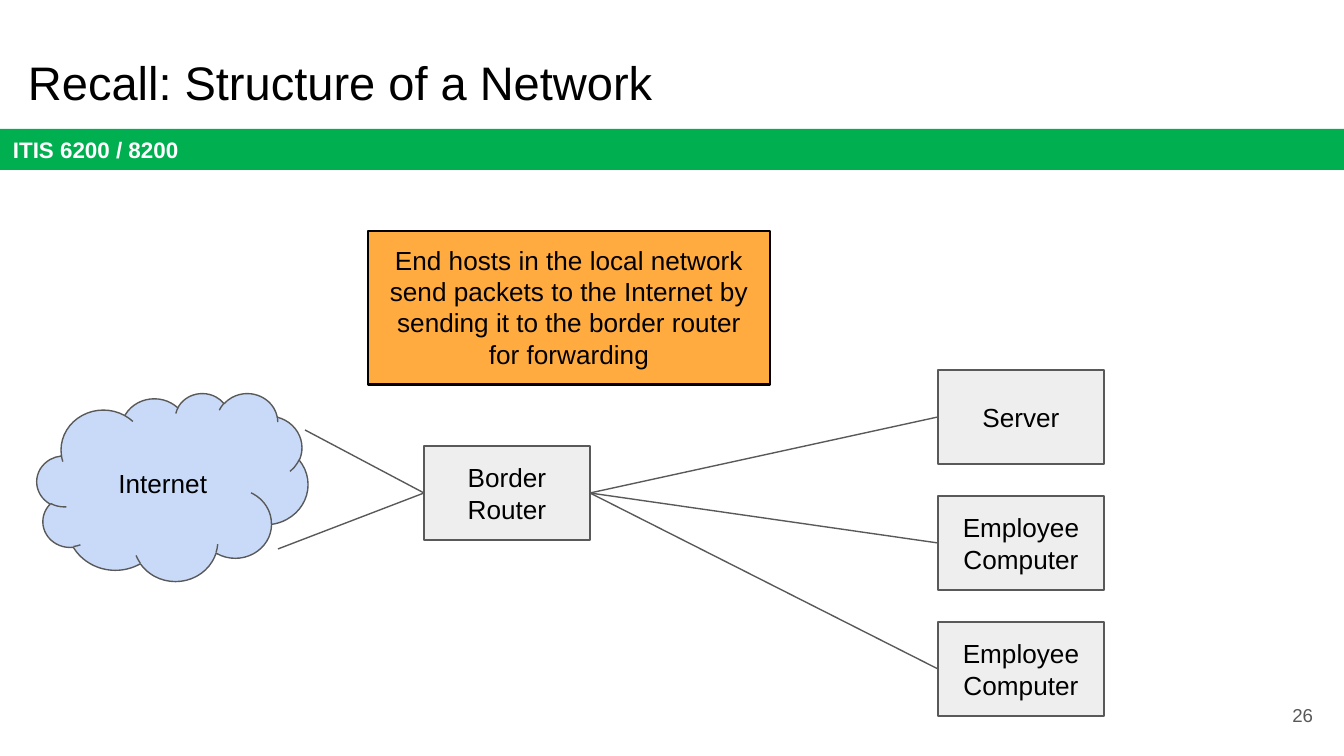
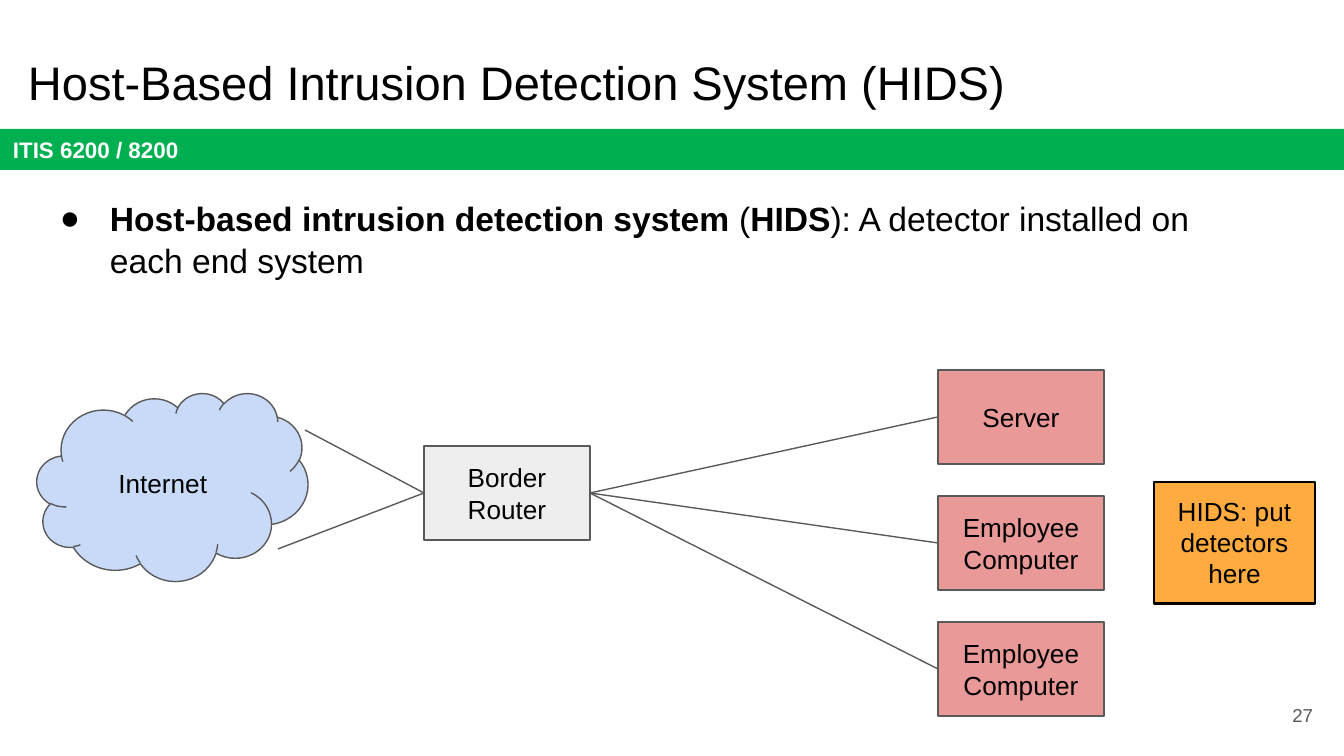
from lxml.etree import SubElement
from pptx import Presentation
from pptx.dml.color import RGBColor
from pptx.enum.shapes import MSO_CONNECTOR, MSO_SHAPE
from pptx.enum.text import MSO_ANCHOR, PP_ALIGN
from pptx.oxml.ns import qn
from pptx.util import Pt

PX = 914400 / 134.4
FONT = "Arial"
BLACK = RGBColor(0x00, 0x00, 0x00)
WHITE = RGBColor(0xFF, 0xFF, 0xFF)
GREEN = RGBColor(0x00, 0xB0, 0x50)
GRAY = RGBColor(0x59, 0x59, 0x59)
LIGHT_GRAY = RGBColor(0xEE, 0xEE, 0xEE)
PINK = RGBColor(0xEA, 0x99, 0x99)
BLUE = RGBColor(0xC9, 0xDA, 0xF8)
ORANGE = RGBColor(0xFF, 0xAB, 0x40)


def add_block(slide, box, text, size=14, color=BLACK, fill=None, line=None, width=0.75,
              kind=MSO_SHAPE.RECTANGLE, align=PP_ALIGN.CENTER, anchor=MSO_ANCHOR.MIDDLE):
    place = [round(v * PX) for v in box]
    if fill is None:
        block = slide.shapes.add_textbox(*place)
    else:
        block = slide.shapes.add_shape(kind, *place)
        block.shadow.inherit = False
        block.fill.solid()
        block.fill.fore_color.rgb = fill
        if line is None:
            block.line.fill.background()
        else:
            block.line.color.rgb = line
            block.line.width = Pt(width)
    frame = block.text_frame
    frame.word_wrap = True
    frame.vertical_anchor = anchor
    frame.margin_left = frame.margin_right = round(13 * PX)
    frame.margin_top = frame.margin_bottom = round(13 * PX)
    frame.text = text
    paragraph = frame.paragraphs[0]
    paragraph.alignment = align
    for run in paragraph.runs:
        run.font.name = FONT
        run.font.size = Pt(size)
        run.font.color.rgb = color
    return block


def add_link(slide, start, end):
    link = slide.shapes.add_connector(
        MSO_CONNECTOR.STRAIGHT, *[round(v * PX) for v in (*start, *end)])
    link.line.color.rgb = GRAY
    link.line.width = Pt(0.75)
    SubElement(link._element.spPr, qn("a:effectLst"))
    return link


prs = Presentation()
prs.slide_width = round(1344 * PX)
prs.slide_height = round(756 * PX)

pages = [
    (26, "Recall: Structure of a Network", LIGHT_GRAY, (368, 231, 402, 154),
     "End hosts in the local network send packets to the Internet by "
     "sending it to the border router for forwarding", []),
    (27, "Host-Based Intrusion Detection System (HIDS)", PINK, (1154, 482, 161, 122),
     "HIDS: put detectors here",
     [("Host-based intrusion detection system", True), (" (", False),
      ("HIDS", True), ("): A detector installed on each end system", False)]),
]

for number, title, host_fill, note_box, note, definition in pages:
    slide = prs.slides.add_slide(prs.slide_layouts[6])

    band = add_block(slide, (0, 129, 1344, 41), "ITIS 6200 / 8200", 12, WHITE, GREEN,
                     align=PP_ALIGN.LEFT)
    band.text_frame.paragraphs[0].runs[0].font.bold = True
    add_block(slide, (15, 40, 1253, 85), title, 25.2,
              align=PP_ALIGN.LEFT, anchor=MSO_ANCHOR.TOP)
    add_block(slide, (1245, 686, 81, 58), str(number), 10, GRAY, align=PP_ALIGN.RIGHT)

    router = add_block(slide, (424, 446, 166, 94), "Border Router",
                       fill=LIGHT_GRAY, line=GRAY)
    for row, host_name in enumerate(["Server", "Employee Computer", "Employee Computer"]):
        top = 370 + row * 126
        host = add_block(slide, (938, top, 166, 94), host_name, fill=host_fill, line=GRAY)
        link = add_link(slide, (938, top + 47), (590, 493))
        link.begin_connect(host, 1)
        link.end_connect(router, 3)

    add_block(slide, note_box, note, fill=ORANGE, line=BLACK, width=1.5,
              anchor=MSO_ANCHOR.TOP)

    if definition:
        body = add_block(slide, (30, 183, 1253, 117), "",
                         align=PP_ALIGN.LEFT, anchor=MSO_ANCHOR.TOP)
        paragraph = body.text_frame.paragraphs[0]
        paragraph.line_spacing = 1.05
        props = paragraph._p.get_or_add_pPr()
        props.set("marL", str(round(67 * PX)))
        props.set("indent", str(round(-50 * PX)))
        bullet_color = SubElement(props, qn("a:buClr"))
        SubElement(bullet_color, qn("a:srgbClr"), val=str(BLACK))
        SubElement(props, qn("a:buFont"), typeface=FONT)
        SubElement(props, qn("a:buChar"), char="●")
        for words, bold in definition:
            run = paragraph.add_run()
            run.text = words
            run.font.name = FONT
            run.font.size = Pt(18)
            run.font.bold = bold
            run.font.color.rgb = BLACK

    add_block(slide, (37, 393, 271, 188), "Internet", fill=BLUE, line=GRAY,
              kind=MSO_SHAPE.CLOUD)
    for cloud_edge in [(305, 430), (278, 549)]:
        add_link(slide, cloud_edge, (424, 493)).end_connect(router, 1)

prs.save("out.pptx")
